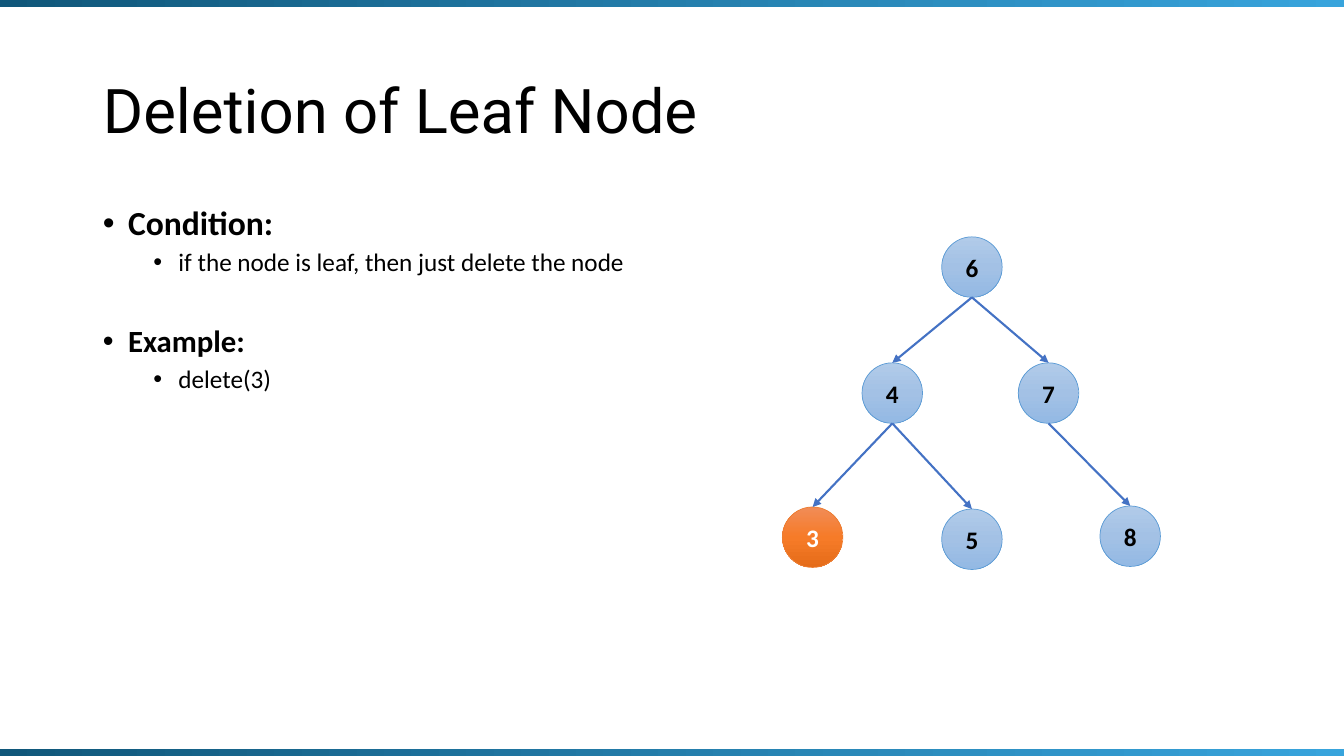
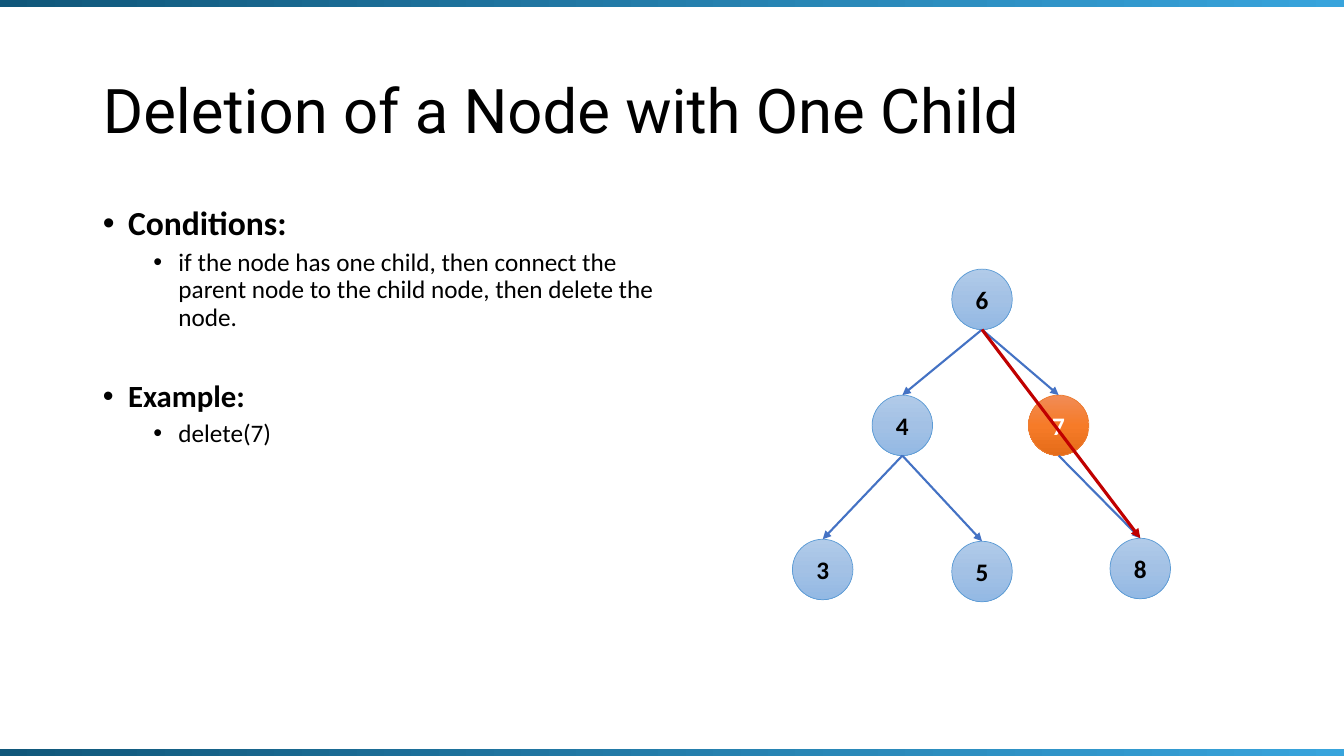
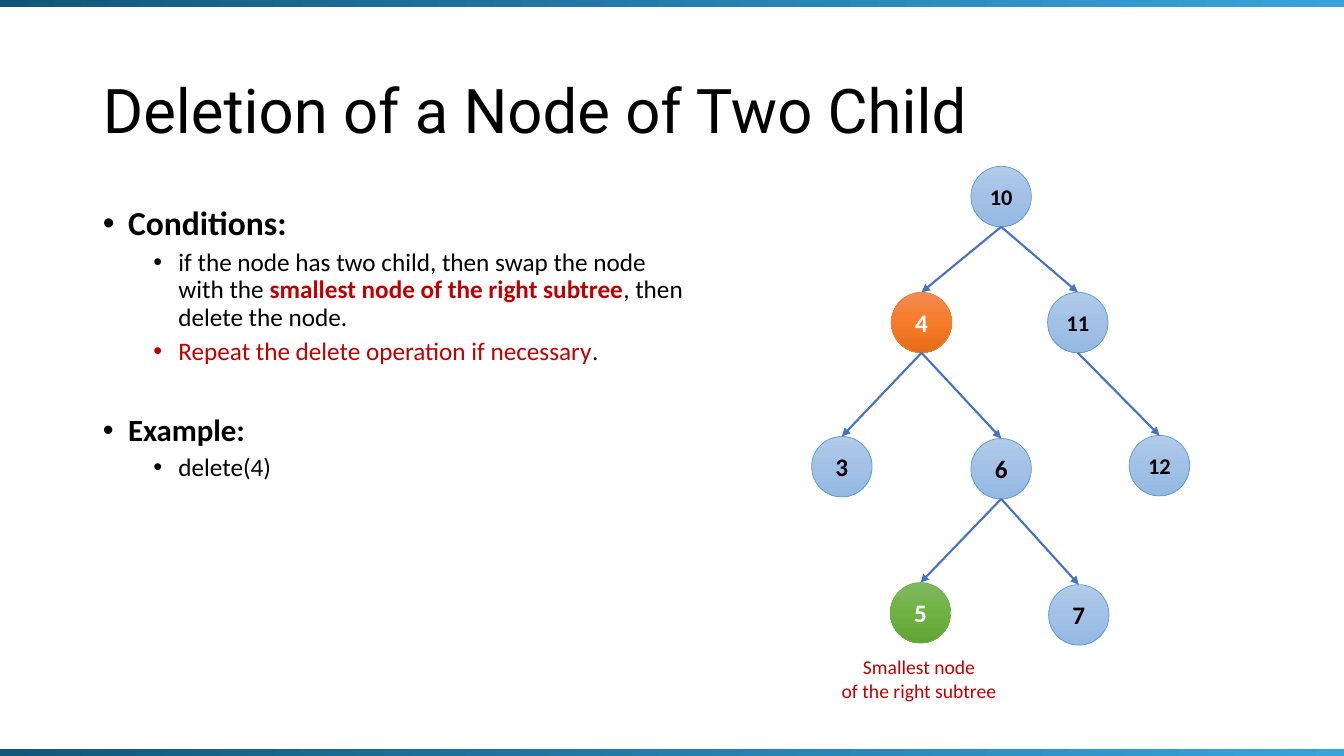
from copy import deepcopy

from pptx import Presentation
from pptx.dml.color import RGBColor
from pptx.enum import shapes, text
from pptx.oxml import ns, xmlchemy
from pptx.util import Inches, Pt

# Colours
BLACK = RGBColor(0x00, 0x00, 0x00)
WHITE = RGBColor(0xFF, 0xFF, 0xFF)
RED = RGBColor(0xC0, 0x00, 0x00)
EDGE_BLUE = RGBColor(0x44, 0x72, 0xC4)
BAND_COLORS = [RGBColor(0x10, 0x57, 0x7A), RGBColor(0x38, 0xA4, 0xDC)]

# Node styles: gradient from top to bottom, outline, text
PLAIN = ([RGBColor(0xB1, 0xCB, 0xE9), RGBColor(0xA3, 0xC1, 0xE5), RGBColor(0x93, 0xB9, 0xE4)],
         RGBColor(0x5B, 0x9B, 0xD5), BLACK)
DELETED = ([RGBColor(0xF1, 0x8C, 0x57), RGBColor(0xF6, 0x7B, 0x28), RGBColor(0xE5, 0x6C, 0x19)],
           RGBColor(0xED, 0x7D, 0x31), WHITE)
SUCCESSOR = ([RGBColor(0x81, 0xB8, 0x61), RGBColor(0x6F, 0xB2, 0x42), RGBColor(0x62, 0xA3, 0x36)],
             RGBColor(0x70, 0xAD, 0x47), WHITE)

# Fonts and sizes
TITLE_FONT, BODY_FONT = "Roboto", "Calibri"
SLIDE_WIDTH, SLIDE_HEIGHT = Inches(13.33), Inches(7.5)
NODE_SIZE = Inches(0.6)

# Node places relative to the root, keyed by the left/right path from it
OFFSETS = {"": (0, 0), "L": (-0.79, 1.25), "R": (0.76, 1.25),
           "LL": (-1.58, 2.68), "LR": (0, 2.7), "RR": (1.57, 2.67),
           "LRL": (-0.8, 4.13), "LRR": (0.77, 4.15)}


def child(parent, tag, **attributes):
    """Append a drawing element to its parent."""
    element = xmlchemy.OxmlElement(tag)
    for name, value in attributes.items():
        element.set(name, str(value))
    parent.append(element)


class Deck:
    def __init__(self):
        self.presentation = Presentation()
        self.presentation.slide_width = SLIDE_WIDTH
        self.presentation.slide_height = SLIDE_HEIGHT
        self.slide = None

    def add_slide(self, title, items):
        layout = self.presentation.slide_layouts[1]
        self.slide = self.presentation.slides.add_slide(layout)
        self.title(title)
        self.body(items)
        for top in (-0.01, 7.43):
            self.band(Inches(top))

    def place(self, placeholder, left, top, width, height, anchor):
        placeholder.left, placeholder.top = Inches(left), Inches(top)
        placeholder.width, placeholder.height = Inches(width), Inches(height)
        frame = placeholder.text_frame
        frame.auto_size = text.MSO_AUTO_SIZE.NONE
        frame.vertical_anchor = anchor
        return frame

    def format(self, paragraph, size, color=BLACK, bold=False, name=BODY_FONT,
               align=text.PP_ALIGN.LEFT):
        paragraph.alignment = align
        font = paragraph.font
        font.name, font.size, font.bold = name, Pt(size), bold
        font.color.rgb = color

    def title(self, words):
        frame = self.place(self.slide.shapes.title, 0.92, 0.4, 11.5, 1.45,
                           text.MSO_ANCHOR.MIDDLE)
        frame.text = words
        paragraph = frame.paragraphs[0]
        paragraph.line_spacing = 0.9
        self.format(paragraph, 44, name=TITLE_FONT)

    def body(self, items):
        """Each item is a heading, its size, space before, and its points."""
        frame = self.place(self.slide.placeholders[1], 0.92, 2, 6.01, 4.6,
                           text.MSO_ANCHOR.TOP)
        paragraph = frame.paragraphs[0]
        for heading, size, space, points in items:
            if paragraph.runs:
                paragraph = frame.add_paragraph()
            self.bullet(paragraph, 0, [(heading, BLACK, True)], size, space)
            for runs in points:
                paragraph = frame.add_paragraph()
                self.bullet(paragraph, 1, runs, 18, 5)

    def bullet(self, paragraph, level, runs, size, space):
        paragraph.level = level
        paragraph.line_spacing = 0.9
        paragraph.space_before = Pt(space)
        self.format(paragraph, size, bold=level == 0)
        for words, color, bold in runs:
            run = paragraph.add_run()
            run.text = words
            run.font.color.rgb, run.font.bold = color, bold
        properties = paragraph._p.get_or_add_pPr()
        properties.set("marL", str(Inches(0.25 + 0.5 * level)))
        properties.set("indent", str(Inches(-0.25)))
        # Bullet elements go before the default run properties
        defaults = properties.find(ns.qn("a:defRPr"))
        child(properties, "a:buFont", typeface="Arial")
        child(properties, "a:buChar", char="\u2022")
        properties.append(defaults)

    def gradient(self, shape, colors, angle):
        shape.shadow.inherit = False
        shape.fill.gradient()
        shape.fill.gradient_angle = angle
        stops = shape._element.spPr.find(".//" + ns.qn("a:gsLst"))
        for _ in colors[2:]:
            stops.append(deepcopy(stops[0]))
        for index, (stop, color) in enumerate(zip(shape.fill.gradient_stops, colors)):
            stop.position = index / (len(colors) - 1)
            stop.color.rgb = color

    def band(self, top):
        band = self.slide.shapes.add_shape(shapes.MSO_SHAPE.RECTANGLE, 0, top,
                                           SLIDE_WIDTH, Inches(0.08))
        self.gradient(band, BAND_COLORS, 0)
        band.line.fill.background()

    def node(self, left, top, label, style):
        colors, outline, text_color = style
        node = self.slide.shapes.add_shape(shapes.MSO_SHAPE.OVAL, left, top,
                                           NODE_SIZE, NODE_SIZE)
        self.gradient(node, colors, 270)
        node.line.color.rgb, node.line.width = outline, Pt(0.5)
        frame = node.text_frame
        frame.margin_left = frame.margin_right = 0
        frame.vertical_anchor = text.MSO_ANCHOR.MIDDLE
        frame.text = label
        self.format(frame.paragraphs[0], 18 if len(label) == 1 else 16, text_color,
                    bold=True, align=text.PP_ALIGN.CENTER)
        return node

    def arrow(self, parent, target, color=EDGE_BLUE, width=1.5):
        """Point from the bottom of the parent to the top of the target."""
        half = NODE_SIZE // 2
        arrow = self.slide.shapes.add_connector(
            shapes.MSO_CONNECTOR.STRAIGHT, parent.left + half, parent.top + NODE_SIZE,
            target.left + half, target.top)
        arrow.line.color.rgb, arrow.line.width = color, Pt(width)
        child(arrow.line._get_or_add_ln(), "a:tailEnd", type="triangle")
        child(arrow._element.spPr, "a:effectLst")

    def tree(self, left, top, labels, styles):
        nodes = {}
        for route, label in labels.items():
            across, down = OFFSETS[route]
            nodes[route] = self.node(Inches(left + across), Inches(top + down), label,
                                     styles.get(route, PLAIN))
        for route in nodes:
            if route:
                self.arrow(nodes[route[:-1]], nodes[route])
        return nodes

    def caption(self, left, top, width, height, lines):
        box = self.slide.shapes.add_textbox(Inches(left), Inches(top),
                                            Inches(width), Inches(height))
        frame = box.text_frame
        frame.word_wrap = False
        frame.auto_size = text.MSO_AUTO_SIZE.SHAPE_TO_FIT_TEXT
        frame.text = "\n".join(lines)
        for paragraph in frame.paragraphs:
            self.format(paragraph, 14, RED, align=text.PP_ALIGN.CENTER)


def outline(heading, conditions, example):
    """Body items: the conditions, then a wider gap and the example."""
    return [(heading, 24, 10, conditions),
            ("Example:", 22, 35, [[(example, BLACK, False)]])]


deck = Deck()
small_tree = {"": "6", "L": "4", "R": "7", "LL": "3", "LR": "5", "RR": "8"}

# Leaf node
deck.add_slide("Deletion of Leaf Node", outline(
    "Condition:",
    [[("if the node is leaf, then just delete the node", BLACK, False)]],
    "delete(3)"))
deck.tree(9.34, 2.35, small_tree, {"LL": DELETED})

# Node with one child
deck.add_slide("Deletion of a Node with One Child", outline(
    "Conditions:",
    [[("if the node has one child, then connect the parent node to the child node, "
       "then delete the node.", BLACK, False)]],
    "delete(7)"))
nodes = deck.tree(9.44, 2.67, small_tree, {"R": DELETED})
deck.arrow(nodes[""], nodes["RR"], RED, 2.25)

# Node with two children
deck.add_slide("Deletion of a Node of Two Child", outline(
    "Conditions:",
    [[("if the node has two child, then swap the node with the ", BLACK, False),
      ("smallest node of the right subtree", RED, True),
      (", then delete the node.", BLACK, False)],
     [("Repeat the delete operation if necessary", RED, False), (".", BLACK, False)]],
    "delete(4)"))
large_tree = {"": "10", "L": "4", "R": "11", "LL": "3", "LR": "6", "RR": "12",
              "LRL": "5", "LRR": "7"}
deck.tree(9.63, 1.65, large_tree, {"L": DELETED, "LRL": SUCCESSOR})
deck.caption(8.24, 6.45, 1.75, 0.57, ["Smallest node", "of the right subtree"])

deck.presentation.save("out.pptx")
